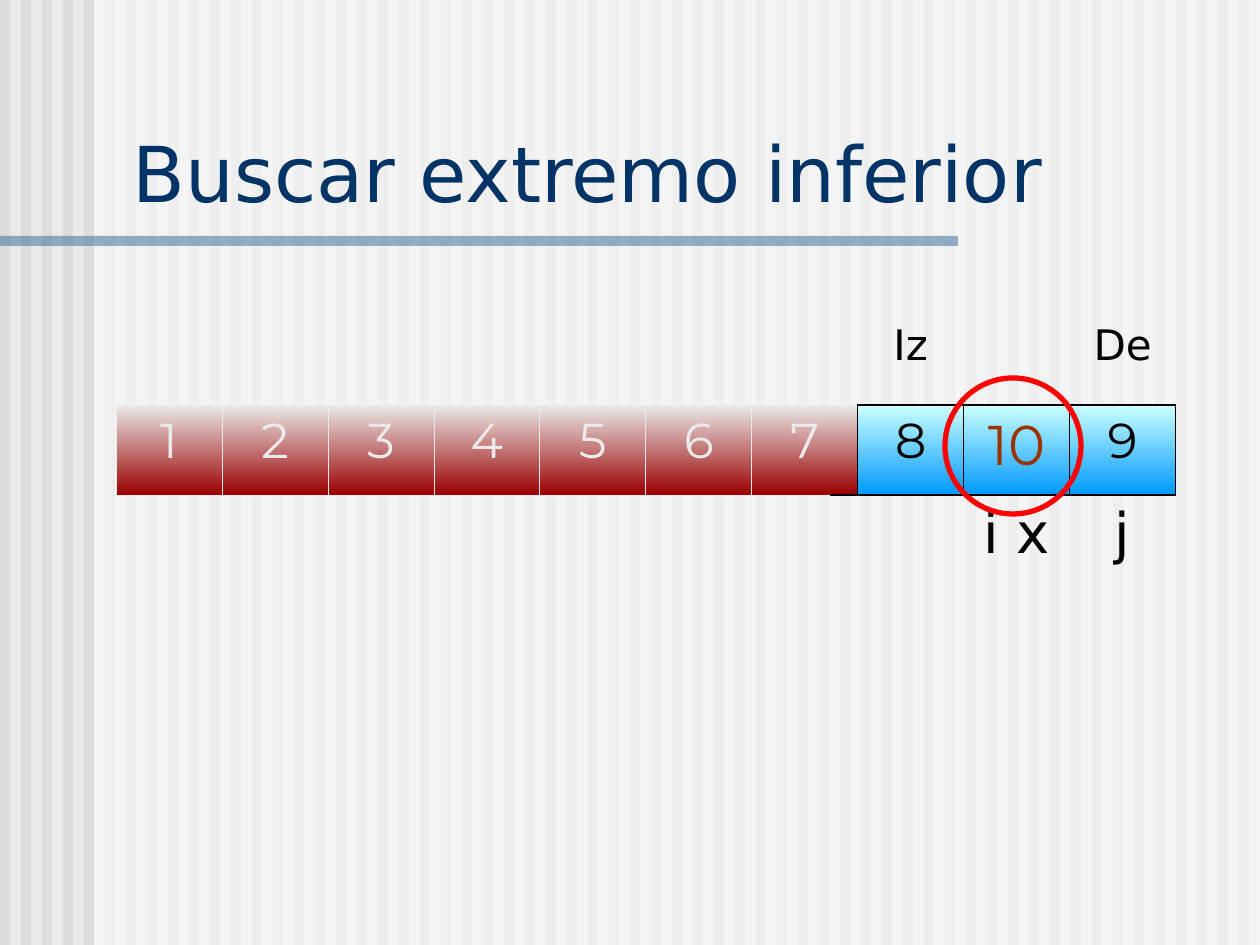
from dataclasses import dataclass

from lxml.etree import SubElement
from pptx import Presentation
from pptx.dml.color import RGBColor as RGB
from pptx.enum.shapes import MSO_SHAPE as SHAPE
from pptx.enum.text import MSO_ANCHOR, MSO_AUTO_SIZE, PP_ALIGN
from pptx.oxml import parse_xml
from pptx.oxml.ns import nsdecls, qn
from pptx.util import Emu, Pt


@dataclass(frozen=True)
class Theme:
    back: str = "EAEAEA"
    stripe: str = "DDDDDD"
    veil: str = "FFFFFF"
    bar: str = "336699"
    title: str = "003366"
    ink: str = "000000"
    pivot: str = "993300"
    ring: str = "FF0000"
    done: tuple = ("EAEAEA", "9A0000")
    active: tuple = ("CCFFFF", "0099FF")
    text_font: str = "DejaVu Sans"
    digit_font: str = "Montserrat"
    title_size: int = 44
    label_size: int = 24
    digit_size: int = 28
    big_size: int = 32
    thin: float = 0.45
    thick: float = 1.08


T = Theme()
PX = 914400 / 126  # EMU per px


def rect(left, top, width, height, color, alpha=None):
    sp = s.shapes.add_shape(SHAPE.RECTANGLE, *[Emu(round(v * PX)) for v in (left, top, width, height)])
    sp.shadow.inherit = False
    sp.line.fill.background()
    sp.fill.solid()
    sp.fill.fore_color.rgb = RGB.from_string(color)
    if alpha:
        clr = sp.element.spPr.find(qn("a:solidFill"))[0]
        SubElement(clr, qn("a:alpha"), val=str(alpha * 1000))


def border(cell, sides, color, width):
    tcPr = cell._tc.get_or_add_tcPr()
    # Lines come before the fill, in the order L, R, T, B
    for i, side in enumerate(sides):
        tcPr.insert(i, parse_xml(
            f'<a:ln{side} {nsdecls("a")} w="{int(Pt(width))}"><a:solidFill>'
            f'<a:srgbClr val="{color}"/></a:solidFill></a:ln{side}>'))


prs = Presentation()
prs.slide_width, prs.slide_height = Emu(round(1260 * PX)), Emu(round(945 * PX))
s = prs.slides.add_slide(prs.slide_layouts[5])

# Striped background, pale veil and title bar
s.background.fill.solid()
s.background.fill.fore_color.rgb = RGB.from_string(T.back)
for i in range(60):
    rect(i * 21, 0, 10, 945, T.stripe)
rect(94, 0, 1166, 945, T.veil, 50)
rect(0, 236, 958, 10, T.bar, 50)

# Title, in front of the background
title = s.shapes.title
s.shapes.element.append(title.element)
title.left, title.top, title.width, title.height = [Emu(round(v * PX)) for v in (120, 118, 1125, 106)]
tf = title.text_frame
tf.text = "Buscar extremo inferior"
tf.word_wrap = True
tf.auto_size = MSO_AUTO_SIZE.NONE
tf.vertical_anchor = MSO_ANCHOR.BOTTOM
p = tf.paragraphs[0]
p.alignment = PP_ALIGN.LEFT
f = p.runs[0].font
f.size, f.name, f.color.rgb = Pt(T.title_size), T.text_font, RGB.from_string(T.title)

# Array table: labels, values, indices; the value 7 spans two columns
widths = [106] * 6 + [78, 28] + [106] * 3
frame = s.shapes.add_table(3, 11, *[Emu(round(v * PX)) for v in (116, 315, sum(widths), 270)])
table = frame.table
table.first_row = table.horz_banding = False
style = frame.element.find(".//" + qn("a:tableStyleId"))
style.text = "{2D5ABB26-0587-4C30-8999-92F81FD0307C}"  # no style, no grid
for col, width in zip(table.columns, widths):
    col.width = Emu(round(width * PX))
for row in table.rows:
    row.height = Emu(round(90 * PX))
for row, col in ((0, 6), (1, 6), (2, 7)):
    table.cell(row, col).merge(table.cell(row, col + 1))

# Text by row and column: wording, size, font, colour, space before
texts = {
    (0, 8): ("Iz", T.label_size, T.text_font, T.ink, 6),
    (0, 10): ("De", T.label_size, T.text_font, T.ink, 6),
    (1, 8): ("8", T.digit_size, T.digit_font, T.ink, 7),
    (1, 9): ("10", T.big_size, T.digit_font, T.pivot, 8),
    (1, 10): ("9", T.digit_size, T.digit_font, T.ink, 7),
    (2, 9): ("i x", T.big_size, T.text_font, T.ink, 8),
    (2, 10): ("j", T.big_size, T.text_font, T.ink, 8),
}
for i in range(7):
    texts[1, i] = (str(i + 1), T.digit_size, T.digit_font, T.back, 7)
for (row, col), (text, size, font, color, before) in texts.items():
    p = table.cell(row, col).text_frame.paragraphs[0]
    p.text = text
    p.alignment = PP_ALIGN.CENTER
    p.space_before = Pt(before)
    f = p.runs[0].font
    f.size, f.name, f.color.rgb = Pt(size), font, RGB.from_string(color)

# Gradients of the value row
for row, col in texts:
    if row == 1:
        fill = table.cell(row, col).fill
        fill.gradient()
        fill.gradient_angle = 270
        for stop, color in zip(fill.gradient_stops, T.active if col > 7 else T.done):
            stop.color.rgb = RGB.from_string(color)

# Borders: pale around the finished values, black around the active ones
for col in range(11):
    above, value, below = [table.cell(row, col) for row in range(3)]
    active = col > 7
    color, edge = (T.ink, T.thick) if active else (T.back, T.thin)
    border(above, "B", color, edge)
    border(value, "TB", color, edge)
    border(value, "L", T.ink if active else T.back, T.thin)
    value_right = T.ink if col > 5 else T.back
    tcPr = value._tc.get_or_add_tcPr()
    border(value, "R", value_right, T.thick if col == 10 else T.thin)
    tcPr.insert(0, tcPr.find(qn("a:lnL")))
    border(below, "T", T.ink if col > 6 else T.back, T.thick if col > 6 else T.thin)

# Ring around the pivot
ring = s.shapes.add_shape(SHAPE.OVAL, *[Emu(round(v * PX)) for v in (945, 378, 136, 136)])
ring.shadow.inherit = False
ring.fill.background()
ring.line.color.rgb = RGB.from_string(T.ring)
ring.line.width = Pt(3)

prs.save("out.pptx")
